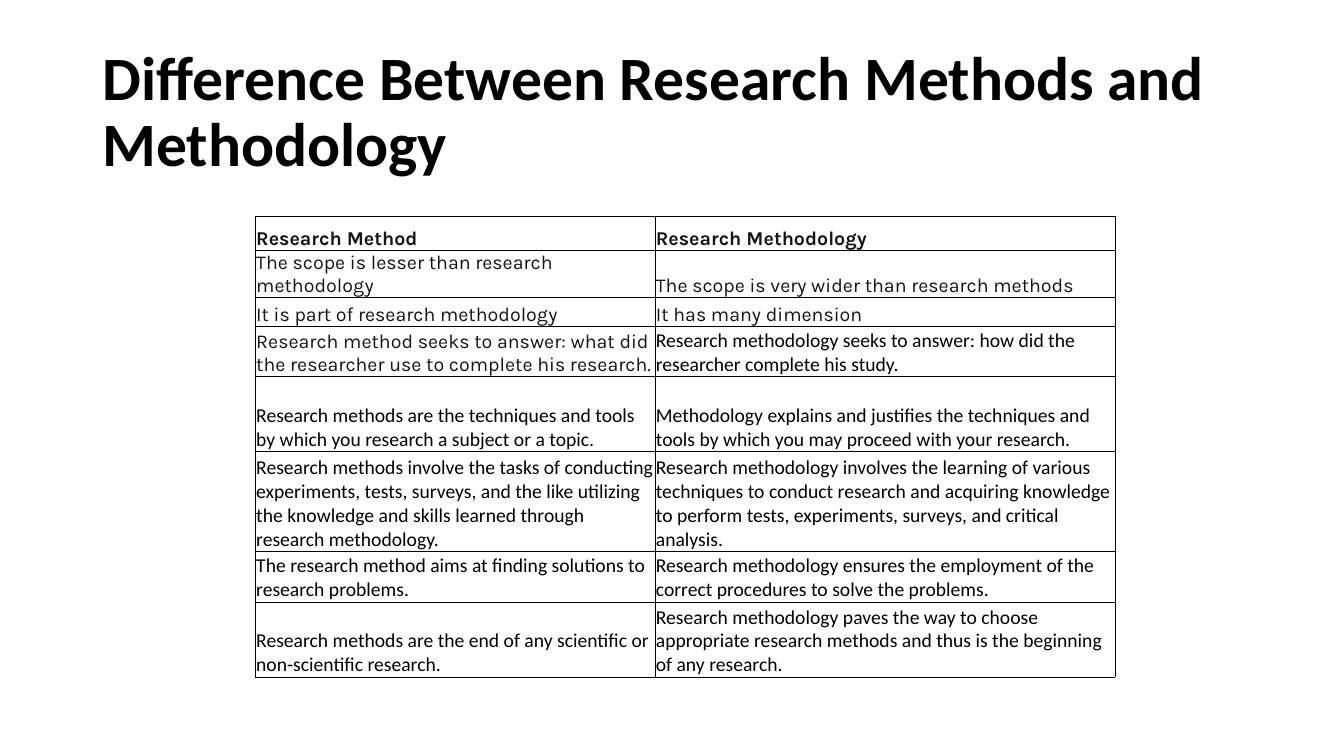
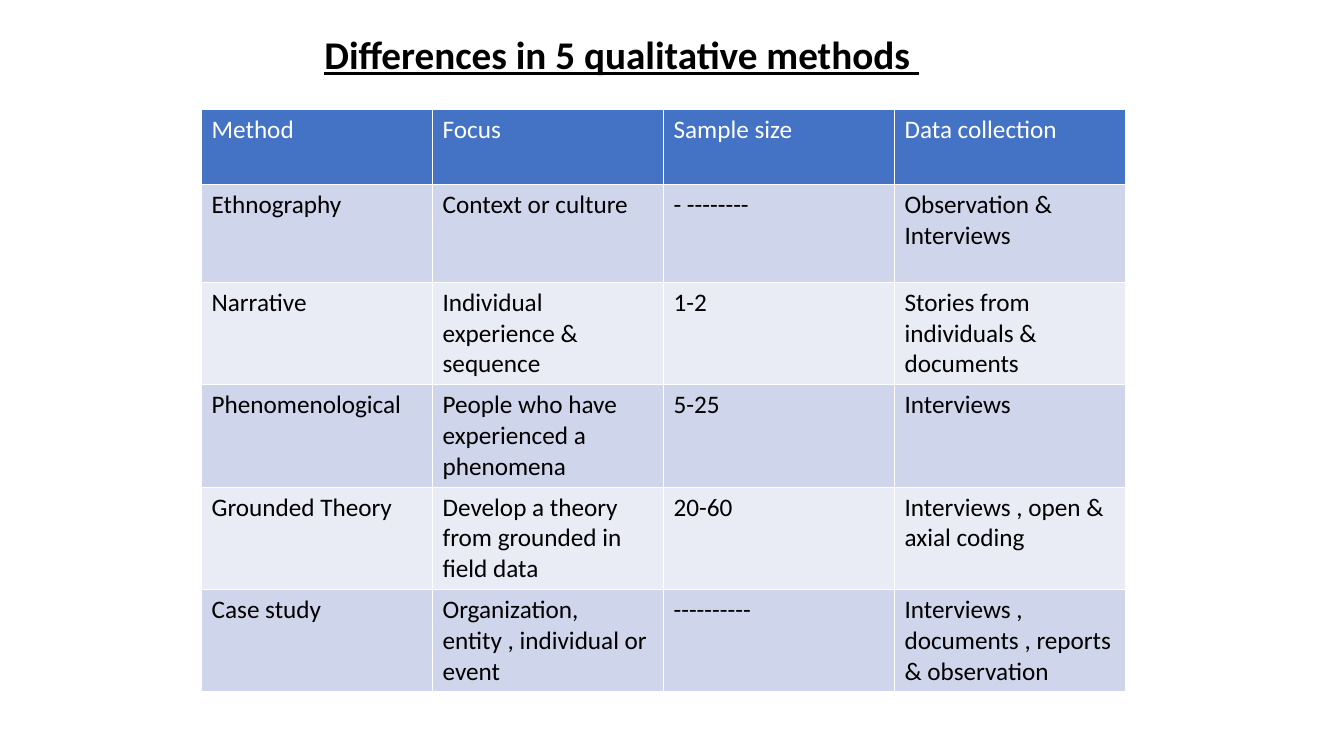
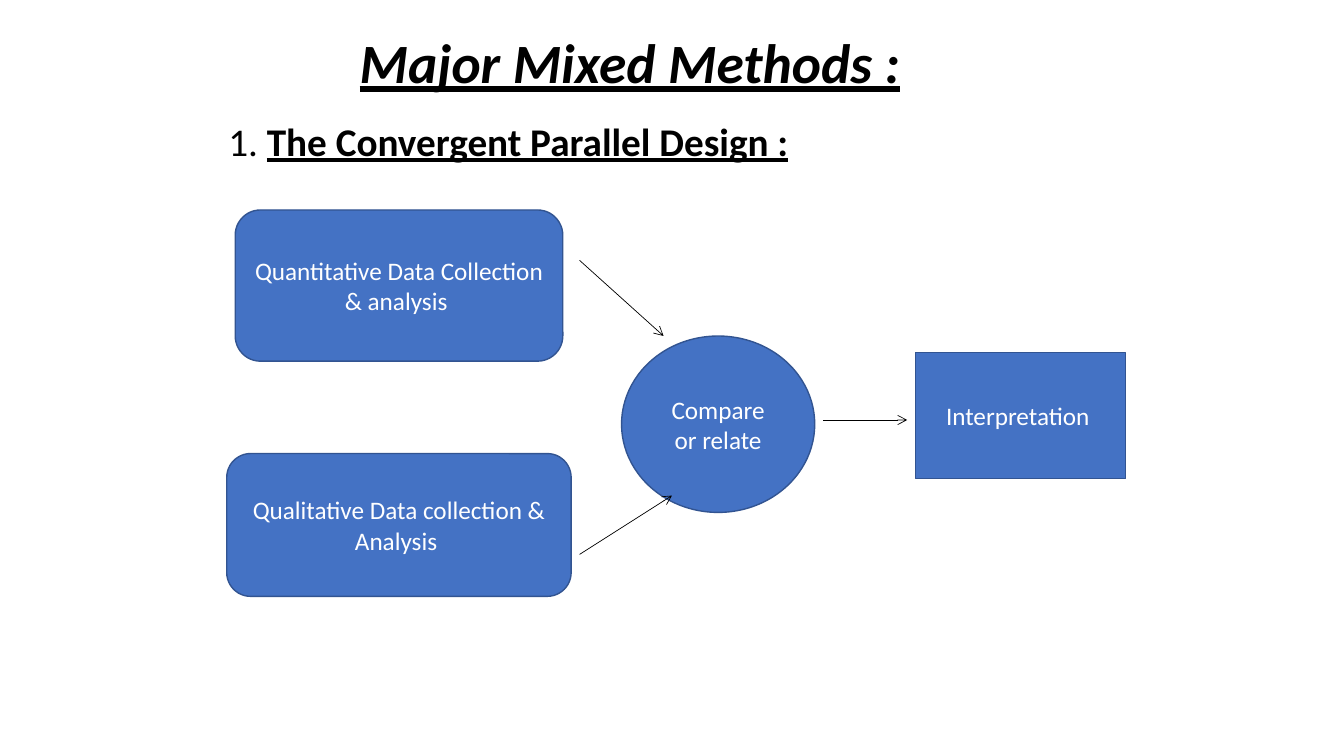
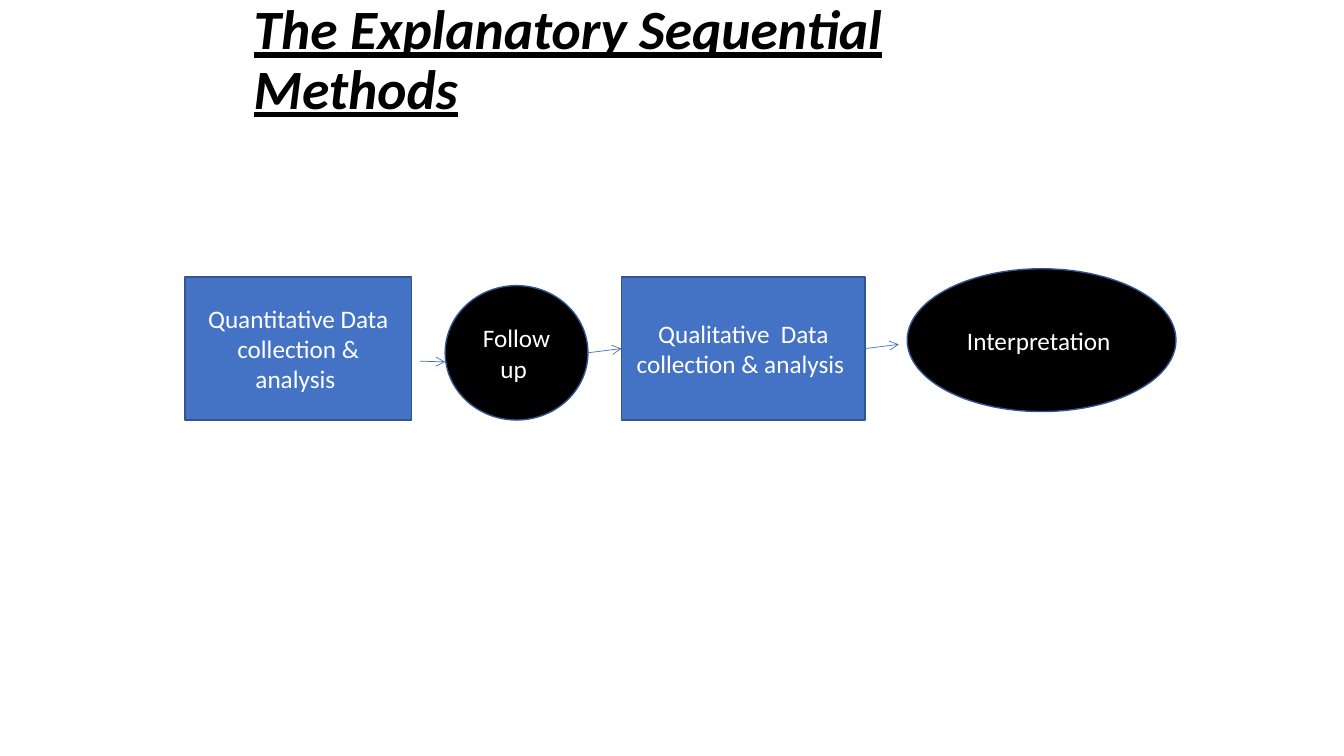
from lxml.etree import SubElement
from pptx import Presentation
from pptx.dml.color import RGBColor
from pptx.enum.shapes import MSO_CONNECTOR, MSO_SHAPE
from pptx.enum.text import MSO_ANCHOR, MSO_AUTO_SIZE, PP_ALIGN
from pptx.oxml import parse_xml
from pptx.oxml.ns import nsdecls, qn
from pptx.util import Pt

BODY_FONT = "Calibri"
WEB_FONT = "Karla"
BLACK = "000000"
WHITE = "FFFFFF"
INK = "151515"
BLUE = "4472C4"
OUTLINE = "325491"
BAND_DARK = "CFD5EA"
BAND_LIGHT = "E9EBF5"

SCOPE_ROWS = [
    ("Research Method", "Research Methodology"),
    ("The scope is lesser than research methodology",
     "The scope is very wider than research methods"),
    ("It is part of research methodology", "It has many dimension"),
    ("Research method seeks to answer: what did the researcher use to complete his research.",
     "Research methodology seeks to answer: how did the researcher complete his study."),
    ("Research methods are the techniques and tools by which you research a subject or a topic.",
     "Methodology explains and justifies the techniques and tools by which you may proceed "
     "with your research."),
    ("Research methods involve the tasks of conducting experiments, tests, surveys, and the like "
     "utilizing the knowledge and skills learned through research methodology.",
     "Research methodology involves the learning of various techniques to conduct research and "
     "acquiring knowledge to perform tests, experiments, surveys, and critical analysis."),
    ("The research method aims at finding solutions to research problems.",
     "Research methodology ensures the employment of the correct procedures to solve the problems."),
    ("Research methods are the end of any scientific or non-scientific research.",
     "Research methodology paves the way to choose appropriate research methods and thus is the "
     "beginning of any research."),
]
QUALITATIVE_ROWS = [
    ("Method", "Focus", "Sample size", "Data collection"),
    ("Ethnography", "Context or culture", "- --------", "Observation & Interviews"),
    ("Narrative", "Individual experience & sequence", "1-2",
     "Stories from individuals & documents"),
    ("Phenomenological", "People who have experienced a phenomena", "5-25", "Interviews"),
    ("Grounded Theory", "Develop a theory from grounded in field data", "20-60",
     "Interviews , open & axial coding"),
    ("Case study", "Organization, entity , individual or event", "----------",
     "Interviews , documents , reports & observation"),
]


def rgb(code):
    return RGBColor.from_string(code)


def style_run(run, size, color, bold=False, italic=False, underline=False, font=BODY_FONT):
    run.font.name = font
    run.font.size = Pt(size)
    run.font.bold = bold
    run.font.italic = italic
    run.font.underline = underline
    run.font.color.rgb = rgb(color)


def add_titled_slide(deck, text, box, size, align=PP_ALIGN.LEFT, **emphasis):
    slide = deck.slides.add_slide(deck.slide_layouts[5])
    title = slide.shapes.title
    title.left, title.top, title.width, title.height = map(Pt, box)
    frame = title.text_frame
    frame.text = text
    frame.word_wrap = True
    frame.auto_size = MSO_AUTO_SIZE.NONE
    frame.vertical_anchor = MSO_ANCHOR.MIDDLE
    paragraph = frame.paragraphs[0]
    paragraph.alignment = align
    paragraph.line_spacing = 0.9
    style_run(paragraph.runs[0], size, BLACK, bold=True, **emphasis)
    return slide


def add_grid(slide, rows, left, top, widths, heights):
    grid = slide.shapes.add_table(len(rows), len(widths), Pt(left), Pt(top),
                                  Pt(sum(widths)), Pt(sum(heights))).table
    for column, width in zip(grid.columns, widths):
        column.width = Pt(width)
    for row, height, texts in zip(grid.rows, heights, rows):
        row.height = Pt(height)
        for cell, text in zip(row.cells, texts):
            cell.text = text
    return grid


def set_borders(cell, color, width):
    properties = cell._tc.get_or_add_tcPr()
    for index, side in enumerate(("lnL", "lnR", "lnT", "lnB")):
        properties.insert(index, parse_xml(
            f'<a:{side} {nsdecls("a")} w="{Pt(width)}"><a:solidFill>'
            f'<a:srgbClr val="{color}"/></a:solidFill></a:{side}>'))


def add_node(slide, kind, text, box, fill=BLUE):
    node = slide.shapes.add_shape(kind, *map(Pt, box))
    node.shadow.inherit = False
    node.fill.solid()
    node.fill.fore_color.rgb = rgb(fill)
    node.line.color.rgb = rgb(OUTLINE)
    node.line.width = Pt(1)
    frame = node.text_frame
    frame.text = text
    frame.word_wrap = True
    frame.vertical_anchor = MSO_ANCHOR.MIDDLE
    frame.paragraphs[0].alignment = PP_ALIGN.CENTER
    style_run(frame.paragraphs[0].runs[0], 18, WHITE)


def add_arrow(slide, color, *ends):
    arrow = slide.shapes.add_connector(MSO_CONNECTOR.STRAIGHT, *map(Pt, ends))
    arrow.line.color.rgb = rgb(color)
    arrow.line.width = Pt(0.5)
    SubElement(arrow.line._get_or_add_ln(), qn("a:tailEnd"), type="arrow")
    SubElement(arrow._element.spPr, qn("a:effectLst"))


def add_numbered_heading(slide, number, heading, box):
    frame = slide.shapes.add_textbox(*map(Pt, box)).text_frame
    frame.word_wrap = True
    paragraph = frame.paragraphs[0]
    paragraph.line_spacing = 0.9
    paragraph.space_before = Pt(10)
    properties = paragraph._p.get_or_add_pPr()
    properties.set("marL", str(Pt(18)))
    properties.set("indent", str(Pt(-18)))
    for text, marked in ((number, False), (heading, True)):
        run = paragraph.add_run()
        run.text = text
        style_run(run, 28, BLACK, bold=marked, underline=marked)


def build_scope_slide(deck):
    slide = add_titled_slide(deck, "Difference Between Research Methods and Methodology",
                             (66, 28.75, 828, 104.4), 44)
    grid = add_grid(slide, SCOPE_ROWS, 182.4, 154.4, (285.5, 328.5),
                    (24.4, 21, 21, 36, 53.6, 71.4, 36, 53.6))
    for r, row in enumerate(grid.rows):
        for c, cell in enumerate(row.cells):
            cell.margin_left = cell.margin_top = cell.margin_right = Pt(0.6)
            cell.margin_bottom = 0
            cell.vertical_anchor = MSO_ANCHOR.BOTTOM
            cell.fill.background()
            set_borders(cell, BLACK, 0.5)
            from_web = r < 3 or (r, c) == (3, 0)
            style_run(cell.text_frame.paragraphs[0].runs[0], 14, INK if from_web else BLACK,
                      bold=r == 0, font=WEB_FONT if from_web else BODY_FONT)


def build_qualitative_slide(deck):
    slide = add_titled_slide(deck, "Differences in 5 qualitative methods ",
                             (180, 21.6, 528, 38), 28, PP_ALIGN.CENTER, underline=True)
    grid = add_grid(slide, QUALITATIVE_ROWS, 144, 78, [165] * 4, [53.7] + [70] * 5)
    for r, row in enumerate(grid.rows):
        band = BAND_DARK if r % 2 else BAND_LIGHT
        for cell in row.cells:
            cell.fill.solid()
            cell.fill.fore_color.rgb = rgb(band if r else BLUE)
            set_borders(cell, WHITE, 1)
            style_run(cell.text_frame.paragraphs[0].runs[0], 18, BLACK if r else WHITE)


def build_convergent_slide(deck):
    slide = add_titled_slide(deck, "Major Mixed Methods :", (156, 21.6, 588, 50.4), 39.6,
                             PP_ALIGN.CENTER, italic=True, underline=True)
    add_numbered_heading(slide, "1. ", "The Convergent Parallel Design :", (156, 84, 648, 425.5))
    for kind, text, box in (
        (MSO_SHAPE.ROUNDED_RECTANGLE, "Quantitative Data Collection & analysis ",
         (168, 150, 234, 108)),
        (MSO_SHAPE.ROUNDED_RECTANGLE, "Qualitative Data collection & Analysis ",
         (162, 324, 246, 102)),
        (MSO_SHAPE.OVAL, "Compare or relate", (444, 240, 138, 126)),
        (MSO_SHAPE.RECTANGLE, "Interpretation ", (654, 252, 150, 90)),
    ):
        add_node(slide, kind, text, box)
    for ends in ((414, 186, 474, 240), (414, 396, 480, 354), (588, 300, 648, 300)):
        add_arrow(slide, BLACK, *ends)


def build_explanatory_slide(deck):
    slide = add_titled_slide(deck, "The Explanatory Sequential Methods", (174, 21.6, 570, 44.4),
                             39.6, italic=True, underline=True)
    for kind, text, box, fill in (
        (MSO_SHAPE.RECTANGLE, "Quantitative Data collection & analysis ",
         (132, 198, 162, 102), BLUE),
        (MSO_SHAPE.OVAL, "Follow up ", (318, 204, 102, 96), BLACK),
        (MSO_SHAPE.RECTANGLE, "Qualitative  Data collection & analysis ",
         (444, 198, 174, 102), BLUE),
        (MSO_SHAPE.OVAL, "Interpretation ", (648, 192, 192, 102), BLACK),
    ):
        add_node(slide, kind, text, box, fill)
    for ends in ((300, 258, 318, 258.5), (420, 252, 444, 249), (618, 249, 642, 246)):
        add_arrow(slide, BLUE, *ends)


def main():
    deck = Presentation()
    deck.slide_width = Pt(960)
    deck.slide_height = Pt(540)
    build_scope_slide(deck)
    build_qualitative_slide(deck)
    build_convergent_slide(deck)
    build_explanatory_slide(deck)
    deck.save("out.pptx")


if __name__ == "__main__":
    main()
